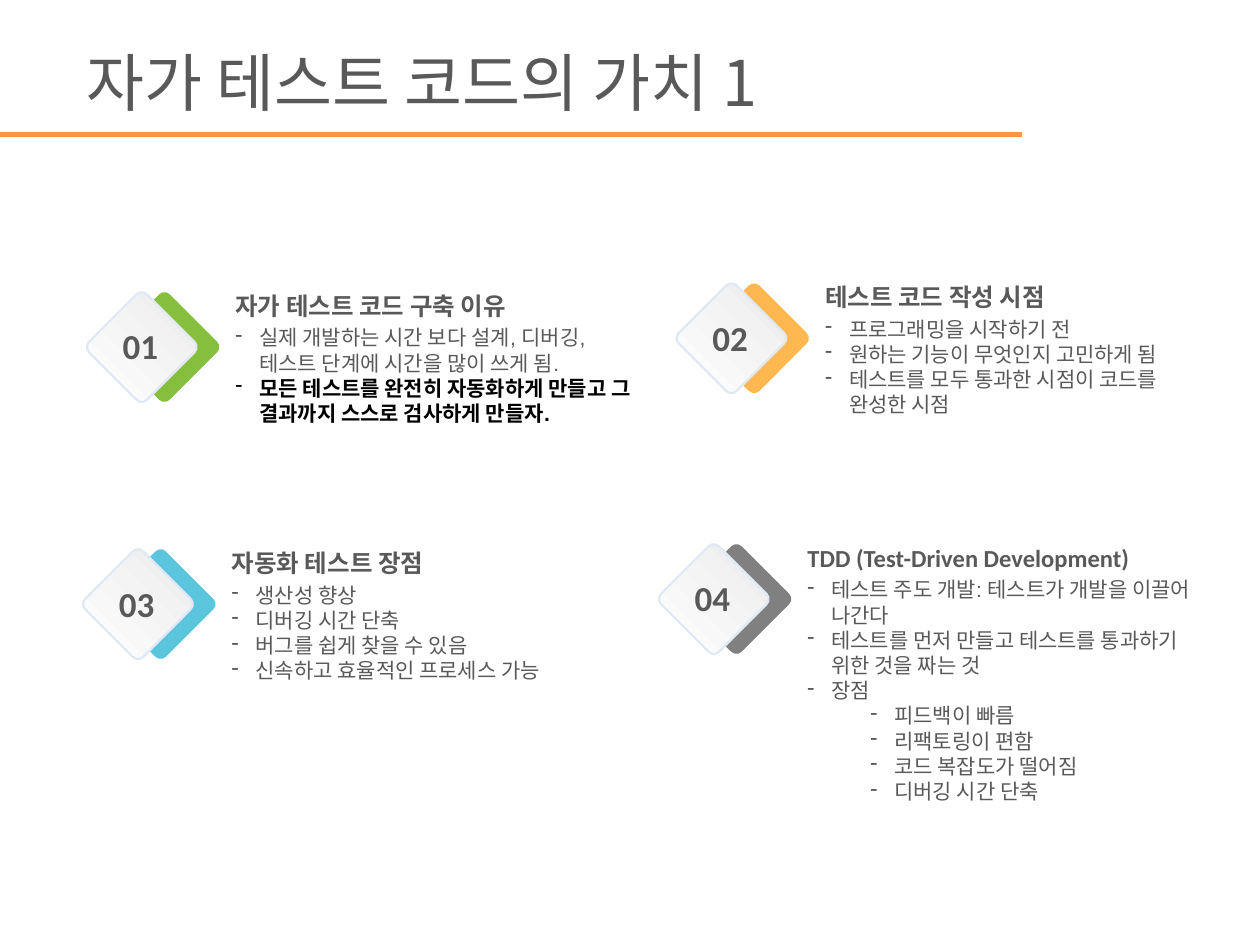
from lxml import etree
from pptx import Presentation
from pptx.dml.color import RGBColor
from pptx.enum.shapes import MSO_CONNECTOR, MSO_SHAPE
from pptx.enum.text import MSO_ANCHOR, MSO_AUTO_SIZE, PP_ALIGN
from pptx.oxml.ns import qn
from pptx.util import Inches, Pt

STRAIGHT = MSO_CONNECTOR.STRAIGHT
ROUNDED = MSO_SHAPE.ROUNDED_RECTANGLE
MIDDLE, TOP = MSO_ANCHOR.MIDDLE, MSO_ANCHOR.TOP
GROW, FIXED = MSO_AUTO_SIZE.SHAPE_TO_FIT_TEXT, MSO_AUTO_SIZE.NONE
LEFT, CENTER = PP_ALIGN.LEFT, PP_ALIGN.CENTER

GREY = RGBColor.from_string("595959")
THEME = {
    "rule": RGBColor.from_string("F79646"),
    "strong": RGBColor.from_string("000000"),
    "tile_line": RGBColor.from_string("E1E8F5"),
    "tile_stops": [RGBColor.from_string("EBEBEB"), RGBColor.from_string("FFFFFF")],
    "title": {"name": "Noto Sans CJK KR", "size": Pt(36), "bold": False},
    "number": {"name": "Calibri", "size": Pt(20), "bold": True},
    "heading": {"name": "Calibri", "size": Pt(14), "bold": True},
    "body": {"name": "Arial", "size": Pt(12), "bold": False},
}
TILE = 0.65
ITEM_INDENT = 0.19
LEVEL_INDENT = 0.5

CARDS = [
    ("01", "86BF3E", 0.8, 2.43, 3.45, 1.11, "자가 테스트 코드 구축 이유", [
        (0, False, "실제 개발하는 시간 보다 설계, 디버깅, 테스트 단계에 시간을 많이 쓰게 됨."),
        (0, True, "모든 테스트를 완전히 자동화하게 만들고 그 결과까지 스스로 검사하게 만들자."),
    ]),
    ("03", "5BC5DD", 0.77, 4.47, 3.45, 0.91, "자동화 테스트 장점", [
        (0, False, "생산성 향상"),
        (0, False, "디버깅 시간 단축"),
        (0, False, "버그를 쉽게 찾을 수 있음"),
        (0, False, "신속하고 효율적인 프로세스 가능"),
    ]),
    ("02", "FFB850", 5.48, 2.36, 3.15, 0.91, "테스트 코드 작성 시점", [
        (0, False, "프로그래밍을 시작하기 전"),
        (0, False, "원하는 기능이 무엇인지 고민하게 됨"),
        (0, False, "테스트를 모두 통과한 시점이 코드를 완성한 시점"),
    ]),
    ("04", "808080", 5.34, 4.43, 3.27, 1.92, "TDD (Test-Driven Development)", [
        (0, False, "테스트 주도 개발: 테스트가 개발을 이끌어 나간다"),
        (0, False, "테스트를 먼저 만들고 테스트를 통과하기 위한 것을 짜는 것"),
        (0, False, "장점"),
        (1, False, "피드백이 빠름"),
        (1, False, "리팩토링이 편함"),
        (1, False, "코드 복잡도가 떨어짐"),
        (1, False, "디버깅 시간 단축"),
    ]),
]


def add_text(shapes, box, lines, style, alignment=LEFT, anchor=TOP, auto_size=GROW):
    frame = shapes.add_textbox(*map(Inches, box)).text_frame
    frame_format = {"word_wrap": True, "auto_size": auto_size, "vertical_anchor": anchor}
    for name, value in frame_format.items():
        setattr(frame, name, value)
    for index, line in enumerate(lines):
        paragraph = frame.add_paragraph() if index else frame.paragraphs[0]
        paragraph.alignment = alignment
        run = paragraph.add_run()
        run.text = line
        for name, value in THEME[style].items():
            setattr(run.font, name, value)
        run.font.color.rgb = GREY
    return frame


def add_tile(shapes, left, top):
    tile = shapes.add_shape(ROUNDED, *map(Inches, (left, top, TILE, TILE)))
    tile.adjustments[0] = 0.09
    tile.rotation = 45
    tile.shadow.inherit = False
    return tile


presentation = Presentation()
presentation.slide_width = Inches(10)
presentation.slide_height = Inches(7.5)
slide = presentation.slides.add_slide(presentation.slide_layouts[6])

add_text(slide.shapes, (0.59, 0.29, 9.41, 0.71), ["자가 테스트 코드의 가치 1"],
         "title", anchor=MIDDLE, auto_size=FIXED)

rule = slide.shapes.add_connector(STRAIGHT, Inches(0), Inches(1.07), Inches(8.11), Inches(1.07))
rule.line.color.rgb = THEME["rule"]
rule.line.width = Pt(3)
etree.SubElement(rule._element.spPr, qn("a:effectLst"))

for number, accent, left, top, body_width, body_height, heading, items in CARDS:
    shapes = slide.shapes.add_group_shape().shapes

    chevron = add_tile(shapes, left + 0.18, top)
    chevron.fill.solid()
    chevron.fill.fore_color.rgb = RGBColor.from_string(accent)
    chevron.line.fill.background()

    tile = add_tile(shapes, left, top)
    tile.fill.gradient()
    tile.fill.gradient_angle = 270
    for stop, color in zip(tile.fill.gradient_stops, THEME["tile_stops"]):
        stop.color.rgb = color
    tile.line.color.rgb = THEME["tile_line"]
    tile.line.width = Pt(1.25)

    text_left = left + 0.97
    add_text(shapes, (left + 0.07, top + 0.1, 0.49, 0.44), [number], "number", CENTER)
    add_text(shapes, (text_left, top - 0.17, 3.15, 0.34), [heading], "heading")
    body = add_text(shapes, (text_left, top + 0.1, body_width, body_height),
                    [text for level, strong, text in items], "body")
    for paragraph, (level, strong, text) in zip(body.paragraphs, items):
        paragraph.level = level
        properties = paragraph._p.get_or_add_pPr()
        properties.set("marL", str(Inches(ITEM_INDENT + level * LEVEL_INDENT)))
        properties.set("indent", str(-Inches(ITEM_INDENT)))
        etree.SubElement(properties, qn("a:buChar"), char="-")
        if strong:
            paragraph.runs[0].font.bold = True
            paragraph.runs[0].font.color.rgb = THEME["strong"]

presentation.save("out.pptx")
